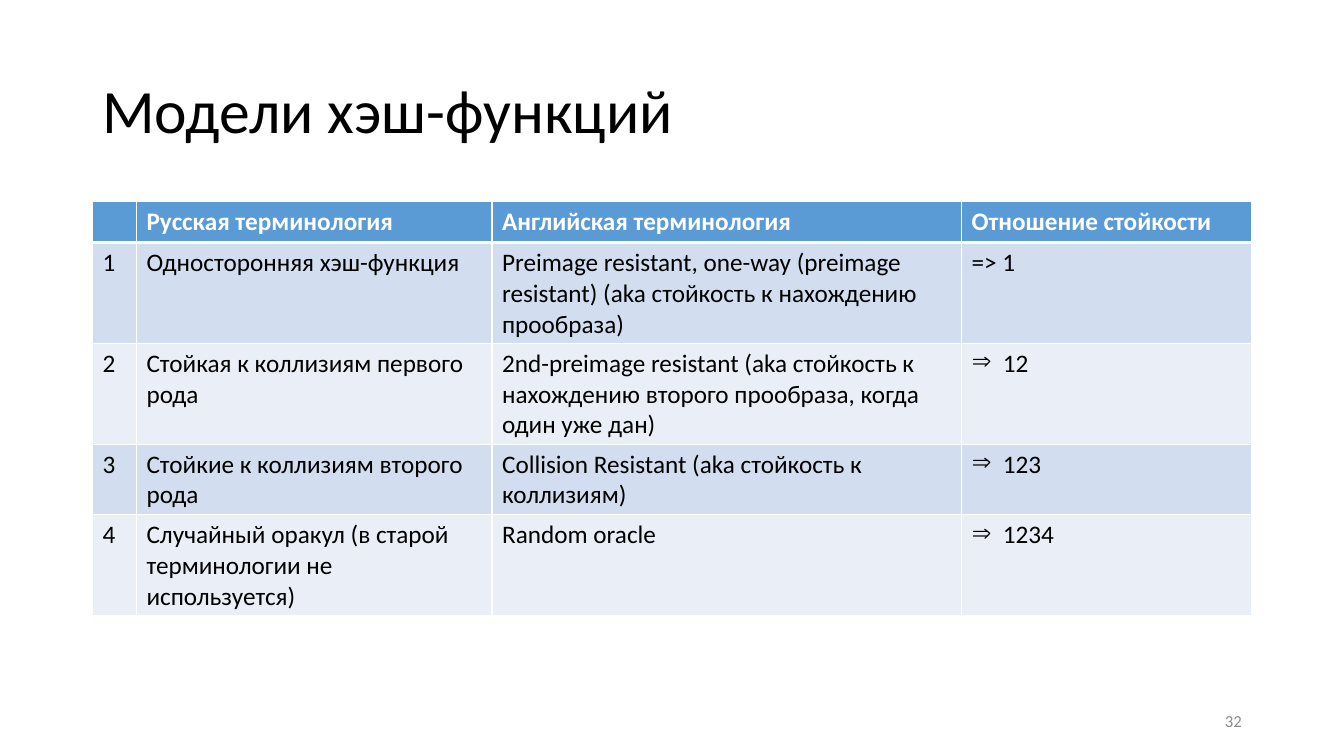
"""Build a slide with a table of hash function models."""
from dataclasses import dataclass

from lxml.etree import SubElement
from pptx import Presentation
from pptx.dml.color import RGBColor
from pptx.enum.text import MSO_ANCHOR as Anchor, PP_ALIGN as Align
from pptx.oxml.ns import qn
from pptx.slide import Slide
from pptx.table import _Cell as Cell
from pptx.util import Cm, Pt

FONT = "Calibri"
BLACK, WHITE, GREY = "000000", "FFFFFF", "8C8C8C"
HEADER_FILL = "5B9BD5"
BAND_FILLS = ("D2DEEF", "EAEFF7")
COLUMN_WIDTHS = (1.11, 8.96, 11.83, 7.31)
ROW_HEIGHT = 1.03
HEADERS = ("", "Русская терминология", "Английская терминология", "Отношение стойкости")


@dataclass
class Label:
    text: str
    left: float
    top: float
    width: float
    height: float
    size: int
    color: str
    align: Align = Align.LEFT
    line_spacing: float = 1.0


@dataclass
class Model:
    russian: str
    english: str
    strength: str
    arrow: bool = True


LABELS = (
    Label("Модели хэш-функций", 2.33, 1.01, 29.21, 3.68, 44, BLACK, line_spacing=0.9),
    Label("32", 23.93, 17.65, 7.62, 1.01, 12, GREY, Align.RIGHT),
)
MODELS = (
    Model("Односторонняя хэш-функция",
          "Preimage resistant, one-way (preimage resistant) (aka стойкость к нахождению прообраза)",
          "=> 1", arrow=False),
    Model("Стойкая к коллизиям первого рода",
          "2nd-preimage resistant (aka стойкость к нахождению второго прообраза, когда один уже дан)",
          "12"),
    Model("Стойкие к коллизиям второго рода",
          "Collision Resistant (aka стойкость к коллизиям)", "123"),
    Model("Случайный оракул (в старой терминологии не используется)",
          "Random oracle", "1234"),
)


def rgb(color: str) -> RGBColor:
    return RGBColor.from_string(color)


def style_font(font, size: int, color: str, bold: bool = False) -> None:
    font.name = FONT
    font.size = Pt(size)
    font.bold = bold
    font.color.rgb = rgb(color)


def add_label(page: Slide, label: Label) -> None:
    box = page.shapes.add_textbox(Cm(label.left), Cm(label.top), Cm(label.width), Cm(label.height))
    frame = box.text_frame
    frame.word_wrap = True
    frame.vertical_anchor = Anchor.MIDDLE
    para = frame.paragraphs[0]
    para.text = label.text
    para.alignment = label.align
    para.line_spacing = label.line_spacing
    style_font(para.runs[0].font, label.size, label.color)


def set_borders(cell: Cell, bottom: int) -> None:
    properties = cell._tc.get_or_add_tcPr()
    for side, width in (("L", 1), ("R", 1), ("T", 1), ("B", bottom)):
        line = SubElement(properties, qn(f"a:ln{side}"), w=str(Pt(width)))
        SubElement(SubElement(line, qn("a:solidFill")), qn("a:srgbClr"), val=WHITE)


def add_arrow_bullet(cell: Cell) -> None:
    properties = cell.text_frame.paragraphs[0]._p.get_or_add_pPr()
    indent = Cm(0.79)
    properties.set("marL", str(indent))
    properties.set("indent", str(-indent))
    SubElement(properties, qn("a:buChar"), char="⇒")


def fill_cell(cell: Cell, text: str, fill: str, header: bool) -> None:
    set_borders(cell, bottom=3 if header else 1)
    cell.fill.solid()
    cell.fill.fore_color.rgb = rgb(fill)
    cell.text_frame.text = text
    for span in cell.text_frame.paragraphs[0].runs:
        style_font(span.font, 18, WHITE if header else BLACK, header)


def add_model_table(page: Slide) -> None:
    rows = [HEADERS]
    rows += [(str(number), model.russian, model.english, model.strength)
             for number, model in enumerate(MODELS, 1)]
    table = page.shapes.add_table(
        len(rows), len(HEADERS), Cm(2.33), Cm(5.08),
        Cm(sum(COLUMN_WIDTHS)), Cm(ROW_HEIGHT * len(rows))).table
    for column, width in zip(table.columns, COLUMN_WIDTHS):
        column.width = Cm(width)
    for row, texts in enumerate(rows):
        fill = BAND_FILLS[(row - 1) % 2] if row else HEADER_FILL
        for column, text in enumerate(texts):
            fill_cell(table.cell(row, column), text, fill, header=row == 0)
    for row, model in enumerate(MODELS, 1):
        if model.arrow:
            add_arrow_bullet(table.cell(row, len(HEADERS) - 1))


def main() -> None:
    deck = Presentation()
    deck.slide_width, deck.slide_height = Cm(33.87), Cm(19.05)
    page = deck.slides.add_slide(deck.slide_layouts[6])
    for label in LABELS:
        add_label(page, label)
    add_model_table(page)
    deck.save("out.pptx")


if __name__ == "__main__":
    main()
